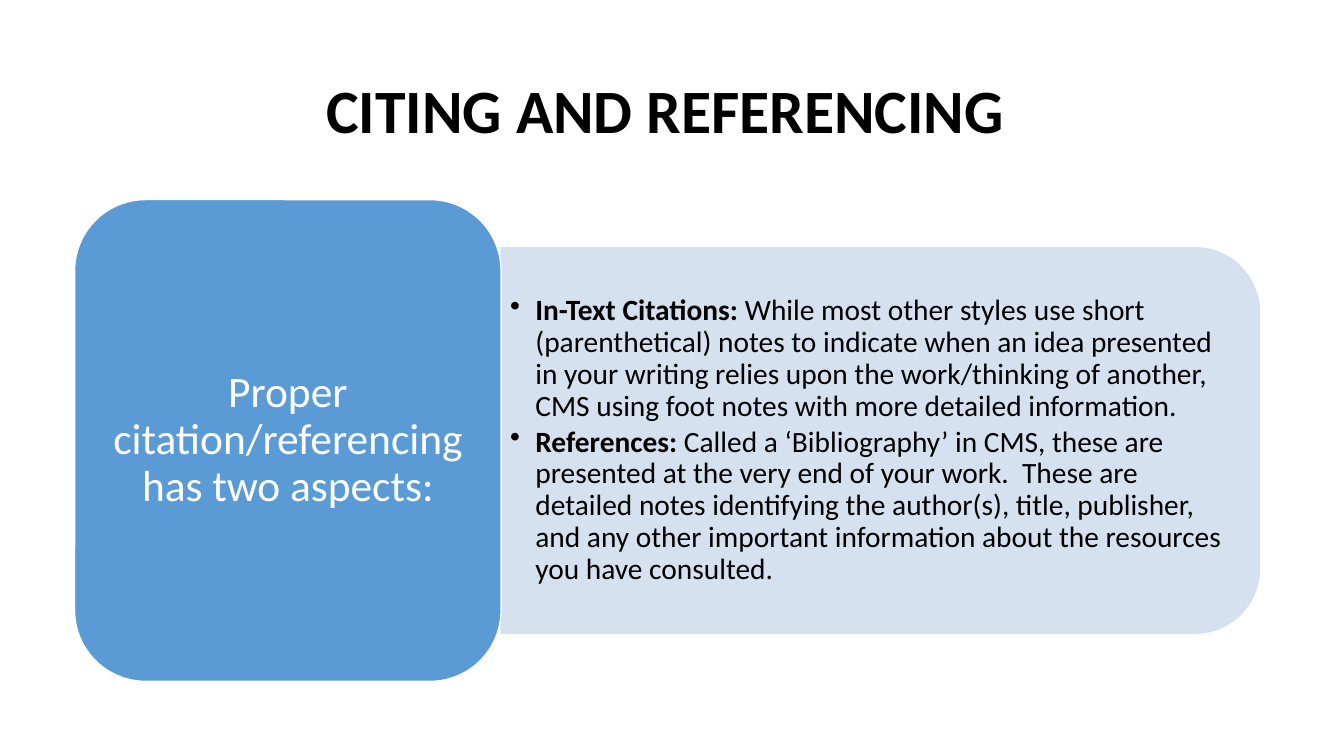
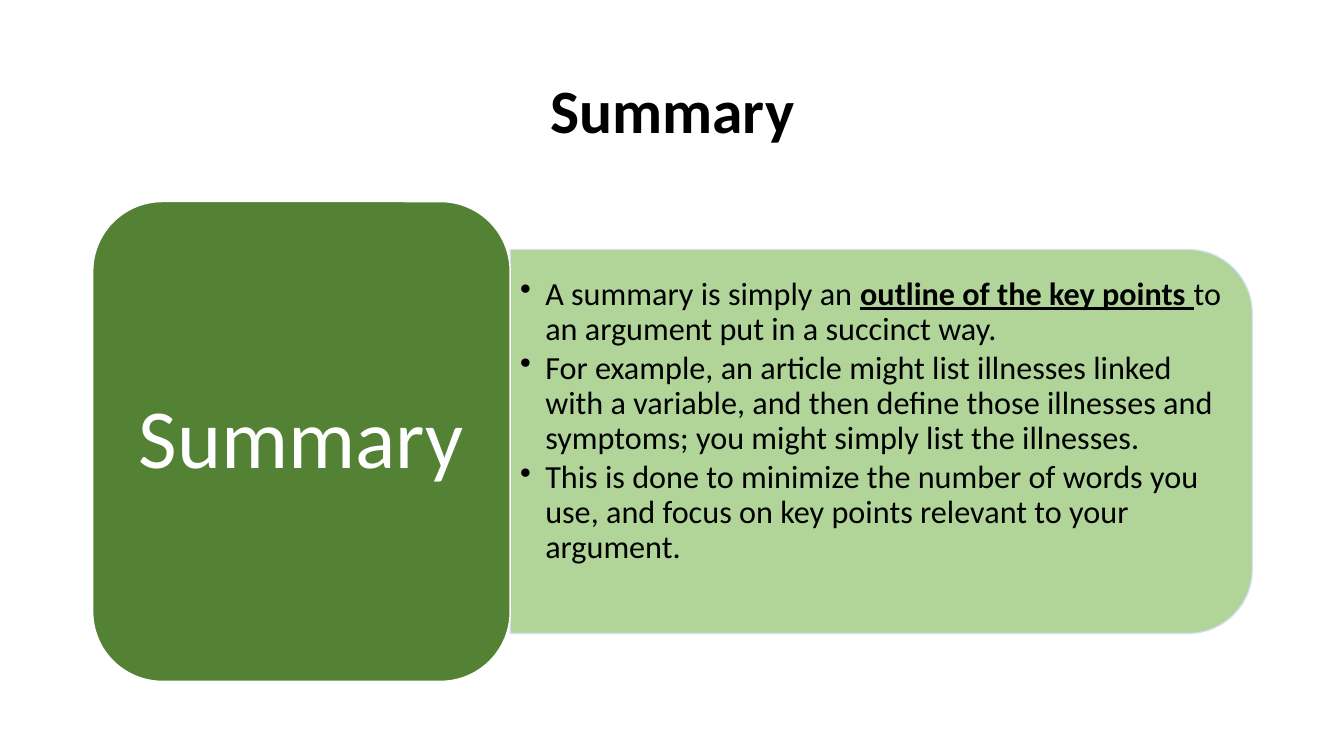
from lxml.etree import SubElement
from pptx import Presentation
from pptx.dml.color import RGBColor
from pptx.enum.shapes import MSO_SHAPE
from pptx.enum.text import MSO_ANCHOR, PP_ALIGN
from pptx.oxml.ns import qn
from pptx.util import Inches, Pt

BLACK = RGBColor(0x00, 0x00, 0x00)
WHITE = RGBColor(0xFF, 0xFF, 0xFF)
BLUE = RGBColor(0x5B, 0x9B, 0xD5)
PALE_BLUE = RGBColor(0xD2, 0xDE, 0xEF)
DARK_GREEN = RGBColor(0x54, 0x82, 0x35)
LIGHT_GREEN = RGBColor(0xA9, 0xD1, 0x8E)

FONT = "Calibri"
TITLE_ONLY = 5
BLOCK_SHARE = 0.36
PANEL_SHARE = 0.8
PANEL_TEXT_MARGIN = 0.19
BOLD = {"bold": True}
KEY = {"bold": True, "underline": True}

SLIDES = [
    {
        "title": "CITING AND REFERENCING ",
        "frame": (0.74, 1.98, 11.75, 4.78),
        "block": {"text": "Proper citation/referencing has two aspects:",
                  "size": 31, "color": BLUE, "insets": (0.13, 0.06, 0.13, 0.06)},
        "panel": {"color": PALE_BLUE, "size": 21, "insets": (0.09, 0.04, 0.09, 0.04)},
        "bullets": [
            [("In-Text Citations: ", BOLD),
             ("While most other styles use short (parenthetical) notes to indicate "
              "when an idea presented in your writing relies upon the work/thinking "
              "of another, CMS using foot notes with more detailed information.", {})],
            [("References: ", BOLD),
             ("Called a ‘Bibliography’ in CMS, these are presented at the very end of "
              "your work.  These are detailed notes identifying the author(s), title, "
              "publisher, and any other important information about the resources you "
              "have consulted.", {})],
        ],
    },
    {
        "title": "Summary",
        "frame": (0.92, 2, 11.5, 4.76),
        "block": {"text": "Summary", "size": 60, "color": DARK_GREEN,
                  "insets": (0.25, 0.12, 0.25, 0.12)},
        "panel": {"color": LIGHT_GREEN, "size": 23, "insets": (0.1, 0.05, 0.1, 0.45)},
        "bullets": [
            [("A summary is simply an ", {}), ("outline of the key points ", KEY),
             ("to an argument put in a succinct way.", {})],
            [("For example, an article might list illnesses linked with a variable, and "
              "then define those illnesses and symptoms; you might simply list the "
              "illnesses.", {})],
            [("This is done to minimize the number of words you use, and focus on key "
              "points relevant to your argument.", {})],
        ],
    },
]


def set_attributes(target, values):
    for name, value in values.items():
        setattr(target, name, value)


def format_font(font, size, color, **values):
    set_attributes(font, {"name": FONT, "size": Pt(size), **values})
    font.color.rgb = color


def format_frame(text_frame, insets):
    sides = ("margin_left", "margin_top", "margin_right", "margin_bottom")
    margins = {side: Inches(inset) for side, inset in zip(sides, insets)}
    set_attributes(text_frame, {"word_wrap": True,
                                "vertical_anchor": MSO_ANCHOR.MIDDLE, **margins})


def add_title(slide, text):
    title = slide.shapes.title
    set_attributes(title, {"left": Inches(0.92), "top": Inches(0.4),
                           "width": Inches(11.5), "height": Inches(1.45)})
    format_frame(title.text_frame, (0.1, 0.05, 0.1, 0.05))
    title.text_frame.text = text
    paragraph = title.text_frame.paragraphs[0]
    set_attributes(paragraph, {"alignment": PP_ALIGN.CENTER, "line_spacing": 0.9})
    format_font(paragraph.runs[0].font, 44, BLACK, bold=True)


def add_filled_shape(slide, kind, box, fill_color, line_color):
    shape = slide.shapes.add_shape(kind, *map(Inches, box))
    shape.shadow.inherit = False
    shape.fill.solid()
    shape.fill.fore_color.rgb = fill_color
    shape.line.color.rgb = line_color
    shape.line.width = Pt(1)
    return shape


def add_panel(slide, left, top, width, height, color):
    """Add a panel rounded on its right side: a top-rounded shape turned by 90 degrees."""
    shift = (width - height) / 2
    box = (left + shift, top - shift, height, width)
    panel = add_filled_shape(slide, MSO_SHAPE.ROUND_2_SAME_RECTANGLE, box, color, PALE_BLUE)
    panel.rotation = 90
    for color_element in panel.fill._xPr.iter(qn("a:srgbClr")):
        SubElement(color_element, qn("a:alpha"), val="90000")


def add_bullets(slide, box, bullets, size, insets):
    text_frame = slide.shapes.add_textbox(*map(Inches, box)).text_frame
    format_frame(text_frame, insets)
    for index, runs in enumerate(bullets):
        paragraph = text_frame.add_paragraph() if index else text_frame.paragraphs[0]
        properties = paragraph._p.get_or_add_pPr()
        properties.set("marL", str(Inches(0.25)))
        properties.set("indent", str(Inches(-0.25)))
        SubElement(properties, qn("a:buChar"), char="•")
        set_attributes(paragraph, {"line_spacing": 0.9, "space_after": Pt(0.15 * size)})
        for text, emphasis in runs:
            run = paragraph.add_run()
            run.text = text
            format_font(run.font, size, BLACK, **emphasis)


def add_block(slide, box, text, size, color, insets):
    block = add_filled_shape(slide, MSO_SHAPE.ROUNDED_RECTANGLE, box, color, WHITE)
    format_frame(block.text_frame, insets)
    block.text_frame.text = text
    paragraph = block.text_frame.paragraphs[0]
    set_attributes(paragraph, {"alignment": PP_ALIGN.CENTER, "line_spacing": 0.9})
    format_font(paragraph.runs[0].font, size, WHITE)


def build_slide(presentation, content):
    slide = presentation.slides.add_slide(presentation.slide_layouts[TITLE_ONLY])
    add_title(slide, content["title"])

    left, top, width, height = content["frame"]
    block_width = BLOCK_SHARE * width
    panel_left, panel_width = left + block_width, width - block_width
    panel_height = PANEL_SHARE * height
    panel_top = top + (height - panel_height) / 2
    text_box = (panel_left, panel_top + PANEL_TEXT_MARGIN,
                panel_width - PANEL_TEXT_MARGIN, panel_height - 2 * PANEL_TEXT_MARGIN)

    panel = content["panel"]
    add_panel(slide, panel_left, panel_top, panel_width, panel_height, panel["color"])
    add_bullets(slide, text_box, content["bullets"], panel["size"], panel["insets"])
    add_block(slide, (left, top, block_width, height), **content["block"])


def main():
    presentation = Presentation()
    presentation.slide_width = Inches(13.33)
    presentation.slide_height = Inches(7.5)
    for content in SLIDES:
        build_slide(presentation, content)
    presentation.save("out.pptx")


if __name__ == "__main__":
    main()
